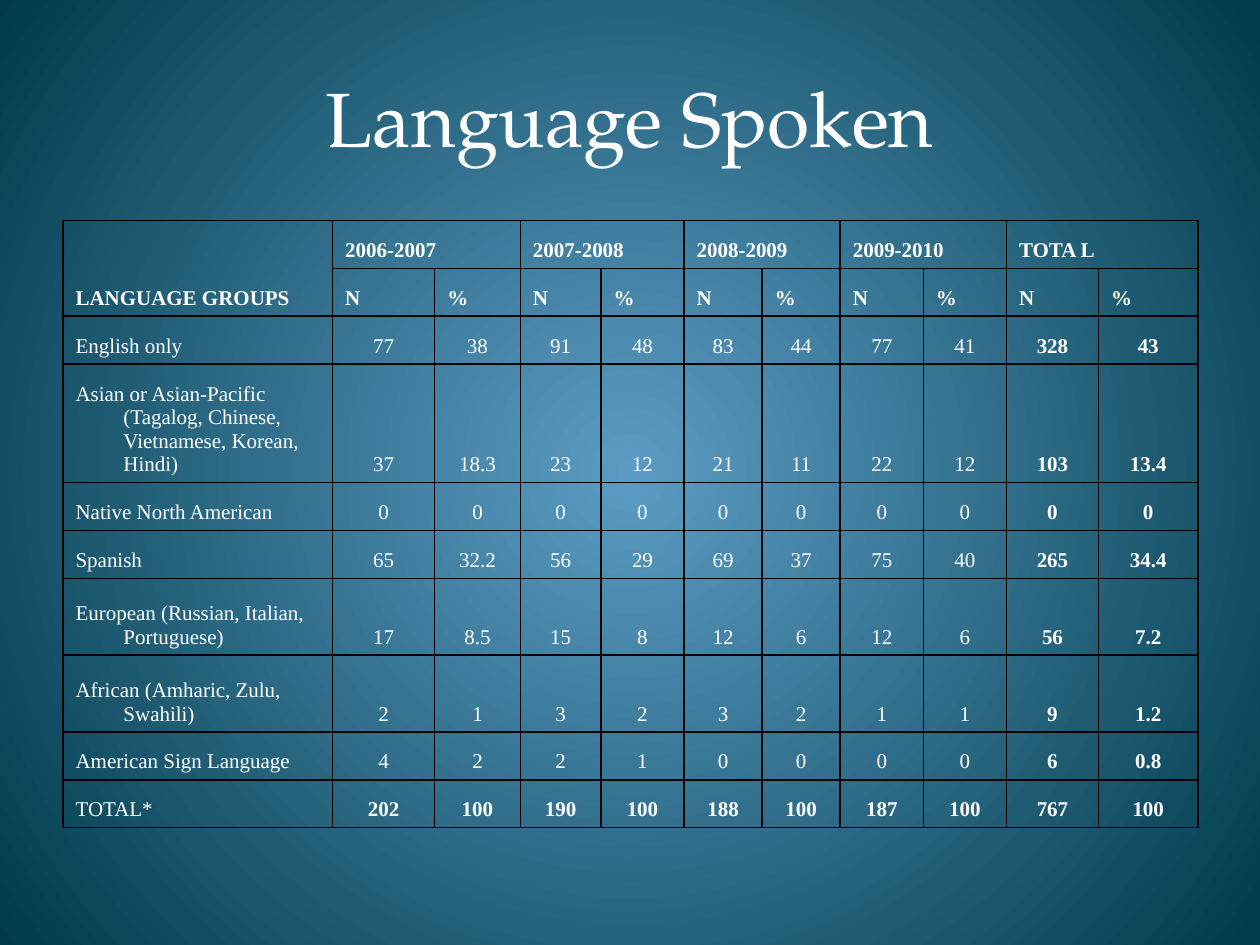
from dataclasses import dataclass
from typing import NamedTuple

from lxml.etree import SubElement
from pptx import Presentation
from pptx.dml.color import RGBColor
from pptx.enum.text import MSO_ANCHOR as Anchor, PP_ALIGN as Align
from pptx.oxml import parse_xml
from pptx.oxml.ns import nsdecls, qn
from pptx.util import Inches, Pt


@dataclass(frozen=True)
class Theme:
    """Colours, fonts and sizes used on the slide."""

    text: RGBColor = RGBColor(0xFF, 0xFF, 0xFF)
    center: RGBColor = RGBColor(0x5C, 0x9C, 0xC4)
    edge: RGBColor = RGBColor(0x00, 0x3B, 0x4B)
    border: str = "000000"
    border_width: int = Pt(1)
    title_font: str = "TeX Gyre Pagella"
    table_font: str = "Times New Roman"
    title_size: int = Pt(44)
    table_size: int = Pt(12)
    hanging: int = Inches(0.38)


class LanguageGroup(NamedTuple):
    """A table row: group name, row height and N/% pairs by period."""

    name: str
    height: float
    values: str


THEME = Theme()
HEADER_HEIGHT = 0.38
COLUMN_WIDTHS = [2.14, 0.81, 0.68, 0.64, 0.66, 0.62, 0.62, 0.66, 0.66, 0.73, 0.79]
PERIODS = ["2006-2007", "2007-2008", "2008-2009", "2009-2010", "TOTA L"]
GROUPS = [
    LanguageGroup("English only", 0.38, "77 38 91 48 83 44 77 41 328 43"),
    LanguageGroup("Asian or Asian-Pacific (Tagalog, Chinese, Vietnamese, Korean, Hindi)",
                  0.94, "37 18.3 23 12 21 11 22 12 103 13.4"),
    LanguageGroup("Native North American", 0.38, "0 0 0 0 0 0 0 0 0 0"),
    LanguageGroup("Spanish", 0.38, "65 32.2 56 29 69 37 75 40 265 34.4"),
    LanguageGroup("European (Russian, Italian, Portuguese)", 0.61,
                  "17 8.5 15 8 12 6 12 6 56 7.2"),
    LanguageGroup("African (Amharic, Zulu, Swahili)", 0.61, "2 1 3 2 3 2 1 1 9 1.2"),
    LanguageGroup("American Sign Language", 0.38, "4 2 2 1 0 0 0 0 6 0.8"),
    LanguageGroup("TOTAL*", 0.38, "202 100 190 100 188 100 187 100 767 100"),
]


def write_text(frame, text: str, *, font: str = THEME.table_font,
               size: int = THEME.table_size, bold: bool = False,
               align: Align = Align.LEFT, hanging: int = 0) -> None:
    """Write one formatted paragraph into a text frame."""
    paragraph = frame.paragraphs[0]
    paragraph.alignment = align
    if hanging:
        properties = paragraph._p.get_or_add_pPr()
        properties.set("marL", str(hanging))
        properties.set("indent", str(-hanging))
    run = paragraph.add_run()
    run.text = text
    run.font.name = font
    run.font.size = size
    run.font.bold = bold
    run.font.color.rgb = THEME.text


def write_cell(cell, text: str, *, bold: bool, align: Align) -> None:
    """Write a table cell with the shared hanging indent."""
    write_text(cell.text_frame, text, bold=bold, align=align, hanging=THEME.hanging)


def style_cell(cell) -> None:
    """Make a cell clear, bottom-anchored and bordered on all sides."""
    cell.fill.background()
    cell.vertical_anchor = Anchor.BOTTOM
    properties = cell._tc.get_or_add_tcPr()
    for index, side in enumerate("LRTB"):
        properties.insert(index, parse_xml(
            f'<a:ln{side} {nsdecls("a")} w="{THEME.border_width}"><a:solidFill>'
            f'<a:srgbClr val="{THEME.border}"/></a:solidFill></a:ln{side}>'))


def set_background(slide) -> None:
    """Fill the background with a circular gradient."""
    fill = slide.background.fill
    fill.gradient()
    for stop, color in zip(fill.gradient_stops, (THEME.center, THEME.edge)):
        stop.color.rgb = color
    gradient = slide.element.find(".//" + qn("a:gradFill"))
    linear = gradient.find(qn("a:lin"))
    path = parse_xml(f'<a:path {nsdecls("a")} path="circle"/>')
    SubElement(path, qn("a:fillToRect"), dict.fromkeys("ltrb", "50000"))
    gradient.replace(linear, path)


def add_title(slide, text: str) -> None:
    """Place and write the slide title."""
    title = slide.shapes.title
    title.left, title.top = Inches(0.5), Inches(0.3)
    title.width, title.height = Inches(9), Inches(1.25)
    title.text_frame.vertical_anchor = Anchor.MIDDLE
    write_text(title.text_frame, text, font=THEME.title_font,
               size=THEME.title_size, align=Align.CENTER)


def add_language_table(slide) -> None:
    """Draw the table of language groups by period."""
    heights = [HEADER_HEIGHT] * 2 + [group.height for group in GROUPS]
    table = slide.shapes.add_table(
        len(heights), len(COLUMN_WIDTHS), Inches(0.5), Inches(1.75),
        Inches(sum(COLUMN_WIDTHS)), Inches(sum(heights))).table
    table.first_row = table.horz_banding = False
    for column, width in zip(table.columns, COLUMN_WIDTHS):
        column.width = Inches(width)
    for row, height in zip(table.rows, heights):
        row.height = Inches(height)
    for cell in table.iter_cells():
        style_cell(cell)

    table.cell(0, 0).merge(table.cell(1, 0))
    write_cell(table.cell(0, 0), "LANGUAGE GROUPS", bold=True, align=Align.JUSTIFY)
    for index, period in enumerate(PERIODS):
        left = 1 + 2 * index
        table.cell(0, left).merge(table.cell(0, left + 1))
        write_cell(table.cell(0, left), period, bold=True, align=Align.JUSTIFY)
        for offset, label in enumerate("N%"):
            write_cell(table.cell(1, left + offset), label, bold=True, align=Align.JUSTIFY)

    first_total = len(COLUMN_WIDTHS) - 2
    for row, group in enumerate(GROUPS, start=2):
        write_cell(table.cell(row, 0), group.name, bold=False, align=Align.LEFT)
        for column, value in enumerate(group.values.split(), start=1):
            is_total = column >= first_total or group is GROUPS[-1]
            write_cell(table.cell(row, column), value, bold=is_total, align=Align.CENTER)


def main() -> None:
    """Build and save the presentation."""
    presentation = Presentation()
    presentation.slide_width, presentation.slide_height = Inches(10), Inches(7.5)
    slide = presentation.slides.add_slide(presentation.slide_layouts[5])
    set_background(slide)
    add_title(slide, "Language Spoken")
    add_language_table(slide)
    presentation.save("out.pptx")


if __name__ == "__main__":
    main()
